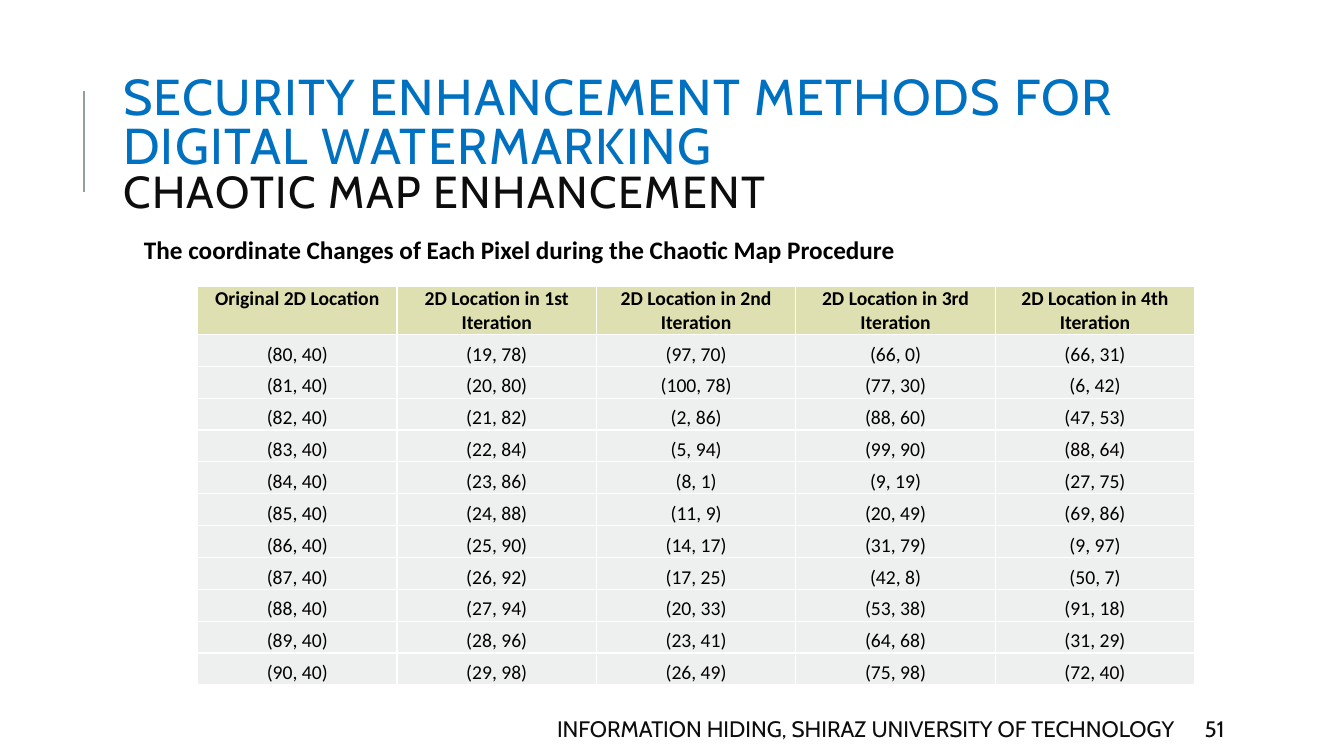
"""Build the slide on chaotic map enhancement for digital watermarking."""
from copy import deepcopy

from lxml.etree import SubElement
from pptx import Presentation
from pptx.dml.color import RGBColor
from pptx.enum.shapes import MSO_CONNECTOR
from pptx.enum.text import MSO_ANCHOR, MSO_AUTO_SIZE, PP_ALIGN
from pptx.oxml.ns import qn
from pptx.util import Inches, Pt

BLUE = RGBColor(0x00, 0x70, 0xC0)
INK = RGBColor(0x0D, 0x0D, 0x0D)
BLACK = RGBColor(0x00, 0x00, 0x00)
WHITE = RGBColor(0xFF, 0xFF, 0xFF)
RULE_GRAY = RGBColor(0x93, 0xA2, 0x99)
HEADER_FILL = RGBColor(0xDF, 0xE0, 0xB1)
BODY_FILL = RGBColor(0xEE, 0xF0, 0xEF)

HEADERS = ["Original 2D Location"] + [
    f"2D Location in {nth} Iteration" for nth in ("1st", "2nd", "3rd", "4th")
]
LOCATIONS = [
    [(80, 40), (19, 78), (97, 70), (66, 0), (66, 31)],
    [(81, 40), (20, 80), (100, 78), (77, 30), (6, 42)],
    [(82, 40), (21, 82), (2, 86), (88, 60), (47, 53)],
    [(83, 40), (22, 84), (5, 94), (99, 90), (88, 64)],
    [(84, 40), (23, 86), (8, 1), (9, 19), (27, 75)],
    [(85, 40), (24, 88), (11, 9), (20, 49), (69, 86)],
    [(86, 40), (25, 90), (14, 17), (31, 79), (9, 97)],
    [(87, 40), (26, 92), (17, 25), (42, 8), (50, 7)],
    [(88, 40), (27, 94), (20, 33), (53, 38), (91, 18)],
    [(89, 40), (28, 96), (23, 41), (64, 68), (31, 29)],
    [(90, 40), (29, 98), (26, 49), (75, 98), (72, 40)],
]


def style_run(run, font_name, size, color, bold=False):
    run.font.name = font_name
    run.font.size = Pt(size)
    run.font.color.rgb = color
    run.font.bold = bold


def set_title(slide):
    title = slide.shapes.title
    title.left, title.top = Inches(1.12), Inches(0.64)
    title.width, title.height = Inches(10.63), Inches(1.64)
    frame = title.text_frame
    frame.auto_size = MSO_AUTO_SIZE.NONE
    frame.vertical_anchor = MSO_ANCHOR.MIDDLE
    heading = frame.paragraphs[0]
    heading.text = (
        "SECURITY ENHANCEMENT METHODS FOR DIGITAL WATERMARKING\v"
        "CHAOTIC MAP ENHANCEMENT"
    )
    heading.alignment = PP_ALIGN.LEFT
    heading.line_spacing = 0.8
    topic, subtopic = heading.runs
    style_run(topic, "Cabin", 36, BLUE)
    style_run(subtopic, "Cabin", 32, INK)
    for run in heading.runs:
        run.font._element.set("spc", "100")
    line_break = heading._p.find(qn("a:br"))
    line_break.append(deepcopy(topic.font._element))


def add_title_rule(slide):
    rule = slide.shapes.add_connector(
        MSO_CONNECTOR.STRAIGHT, Inches(0.83), Inches(1.9), Inches(0.83), Inches(0.9)
    )
    rule.line.color.rgb = RULE_GRAY
    rule.line.width = Pt(1.5)
    SubElement(rule._element.spPr, qn("a:effectLst"))


def add_label(slide, text, box, font_name, size, color, bold=False,
              align=PP_ALIGN.LEFT, anchor=MSO_ANCHOR.MIDDLE):
    frame = slide.shapes.add_textbox(*map(Inches, box)).text_frame
    frame.word_wrap = True
    frame.vertical_anchor = anchor
    frame.text = text
    paragraph = frame.paragraphs[0]
    paragraph.alignment = align
    style_run(paragraph.runs[0], font_name, size, color, bold)


def add_borders(cell):
    properties = cell._tc.get_or_add_tcPr()
    for side in ("lnL", "lnR", "lnT", "lnB"):
        border = SubElement(properties, qn(f"a:{side}"), w=str(Pt(1)))
        fill = SubElement(border, qn("a:solidFill"))
        SubElement(fill, qn("a:srgbClr"), val=str(WHITE))


def fill_cell(cell, text, is_header):
    add_borders(cell)
    cell.fill.solid()
    cell.fill.fore_color.rgb = HEADER_FILL if is_header else BODY_FILL
    cell.margin_left = cell.margin_right = cell.margin_top = Inches(0.01)
    cell.margin_bottom = 0
    cell.vertical_anchor = MSO_ANCHOR.TOP if is_header else MSO_ANCHOR.BOTTOM
    cell.text = text
    paragraph = cell.text_frame.paragraphs[0]
    paragraph.alignment = PP_ALIGN.CENTER
    style_run(paragraph.runs[0], "Calibri", 14, BLACK, is_header)


def add_location_table(slide):
    rows = [HEADERS] + [[f"({x}, {y})" for x, y in row] for row in LOCATIONS]
    header_height, table_height = Inches(0.46), Inches(3.94)
    table = slide.shapes.add_table(
        len(rows), len(HEADERS), Inches(1.96), Inches(2.84), Inches(9.89), table_height
    ).table
    body_height = (table_height - header_height) // len(LOCATIONS)
    for r, texts in enumerate(rows):
        table.rows[r].height = body_height if r else header_height
        for c, text in enumerate(texts):
            fill_cell(table.cell(r, c), text, r == 0)


def main():
    deck = Presentation()
    deck.slide_width, deck.slide_height = Inches(13.33), Inches(7.5)
    slide = deck.slides.add_slide(deck.slide_layouts[5])
    add_title_rule(slide)
    set_title(slide)
    add_label(slide, "INFORMATION HIDING, SHIRAZ UNIVERSITY OF TECHNOLOGY",
              (5.3, 7.08, 6.45, 0.3), "Cabin", 16, INK, align=PP_ALIGN.RIGHT)
    add_label(slide, "51", (11.85, 7.08, 1.06, 0.3), "Cabin", 16, INK)
    add_location_table(slide)
    add_label(slide, "The coordinate Changes of Each Pixel during the Chaotic Map Procedure",
              (1.33, 2.28, 8.26, 0.4), "Calibri", 18, BLACK, True, anchor=MSO_ANCHOR.TOP)
    deck.save("out.pptx")


if __name__ == "__main__":
    main()
